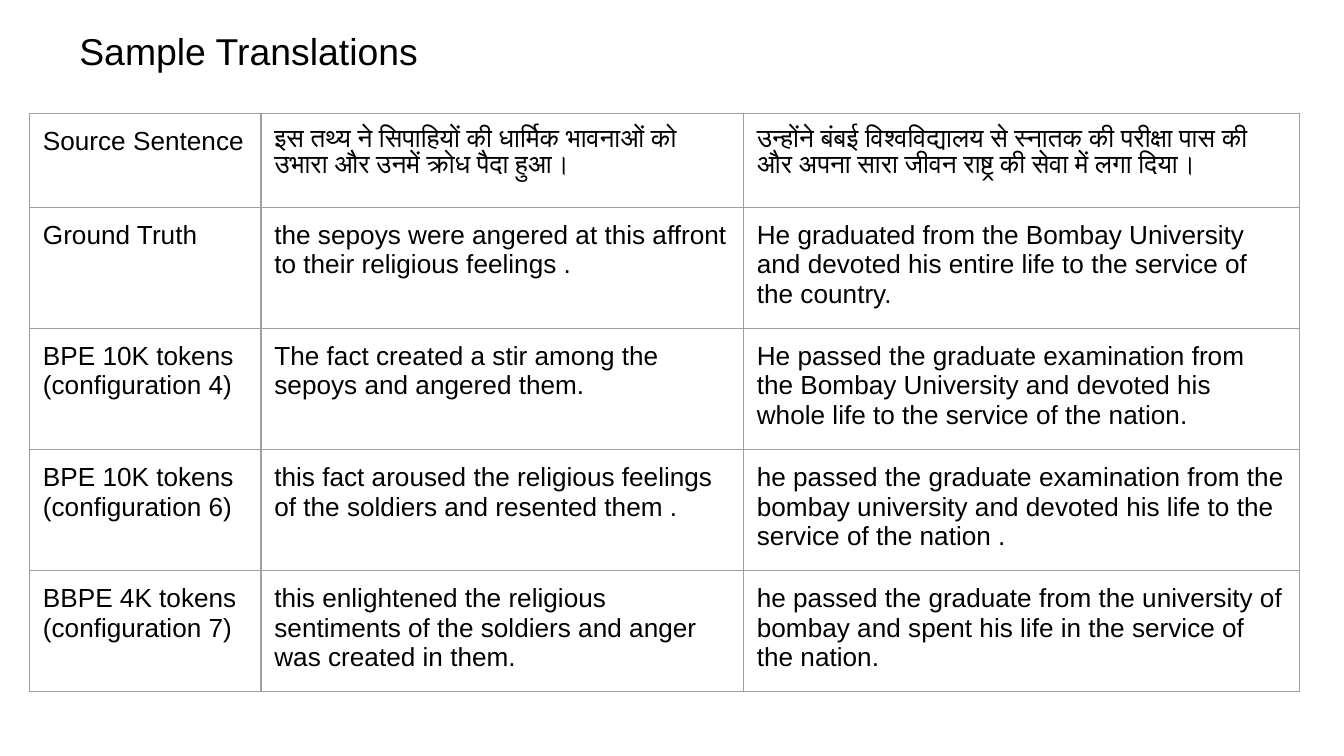
from pptx import Presentation
from pptx import util as u
from pptx.dml.color import RGBColor
from pptx.enum import text
from lxml import etree

# Content
TITLE = "Sample Translations"
TRANSLATIONS = [
    ("Source Sentence",
     "इस तथ्य ने सिपाहियों की धार्मिक भावनाओं को उभारा और उनमें क्रोध पैदा हुआ।",
     "उन्होंने बंबई विश्वविद्यालय से स्नातक की परीक्षा पास की और अपना सारा जीवन राष्ट्र की सेवा में लगा दिया।"),
    ("Ground Truth",
     "the sepoys were angered at this affront to their religious feelings .",
     "He graduated from the Bombay University and devoted his entire life to the service of the country."),
    ("BPE 10K tokens (configuration 4)",
     "The fact created a stir among the sepoys and angered them.",
     "He passed the graduate examination from the Bombay University and devoted his whole life "
     "to the service of the nation."),
    ("BPE 10K tokens (configuration 6)",
     "this fact aroused the religious feelings of the soldiers and resented them .",
     "he passed the graduate examination from the bombay university and devoted his life "
     "to the service of the nation ."),
    ("BBPE 4K tokens (configuration 7)",
     "this enlightened the religious sentiments of the soldiers and anger was created in them.",
     "he passed the graduate from the university of bombay and spent his life in the service of the nation."),
]

# Theme and layout, in points
THEME = {"font": "Arial", "text": "000000", "background": "FFFFFF", "border": "9E9E9E",
         "title_size": 20, "cell_size": 14, "border_width": 0.75, "inset": 7.2}
SLIDE_SIZE = (720, 405)
TITLE_BOX = (35.3, 8, 499.7, 38.8)
TABLE_ORIGIN = (15.8, 60.7)
COLUMN_WIDTHS = (124, 258.5, 298)
ROW_HEIGHTS = [50.4] + [64.8] * (len(TRANSLATIONS) - 1)
DRAWING = "http://schemas.openxmlformats.org/drawingml/2006/main"


def write_text(frame, content, size, color=THEME["text"]):
    frame.word_wrap = True
    paragraph = frame.paragraphs[0]
    paragraph.alignment = text.PP_ALIGN.LEFT
    run = paragraph.add_run()
    run.text = content
    run.font.name = THEME["font"]
    run.font.size = u.Pt(size)
    run.font.color.rgb = RGBColor.from_string(color)


def set_insets(target):
    for side in ("left", "top", "right", "bottom"):
        setattr(target, f"margin_{side}", u.Pt(THEME["inset"]))
    target.vertical_anchor = text.MSO_ANCHOR.TOP


def add_borders(cell):
    properties = cell._tc.get_or_add_tcPr()
    for side in "LRTB":
        line = etree.SubElement(properties, f"{{{DRAWING}}}ln{side}",
                                w=str(u.Pt(THEME["border_width"])))
        fill = etree.SubElement(line, f"{{{DRAWING}}}solidFill")
        etree.SubElement(fill, f"{{{DRAWING}}}srgbClr", val=THEME["border"])


def add_title(slide):
    title = slide.shapes.title
    title.left, title.top, title.width, title.height = map(u.Pt, TITLE_BOX)
    set_insets(title.text_frame)
    write_text(title.text_frame, TITLE, THEME["title_size"])
    title.text_frame.auto_size = text.MSO_AUTO_SIZE.SHAPE_TO_FIT_TEXT


def add_translation_table(slide):
    box = (*TABLE_ORIGIN, sum(COLUMN_WIDTHS), sum(ROW_HEIGHTS))
    table = slide.shapes.add_table(len(TRANSLATIONS), len(COLUMN_WIDTHS), *map(u.Pt, box)).table
    table.first_row = table.horz_banding = False
    for column, width in zip(table.columns, COLUMN_WIDTHS):
        column.width = u.Pt(width)
    for row, height, contents in zip(table.rows, ROW_HEIGHTS, TRANSLATIONS):
        row.height = u.Pt(height)
        for cell, content in zip(row.cells, contents):
            set_insets(cell)
            add_borders(cell)
            cell.fill.solid()
            cell.fill.fore_color.rgb = RGBColor.from_string(THEME["background"])
            write_text(cell.text_frame, content, THEME["cell_size"])


def main():
    presentation = Presentation()
    presentation.slide_width, presentation.slide_height = map(u.Pt, SLIDE_SIZE)
    slide = presentation.slides.add_slide(presentation.slide_layouts.get_by_name("Title Only"))
    add_title(slide)
    add_translation_table(slide)
    presentation.save("out.pptx")


if __name__ == "__main__":
    main()
